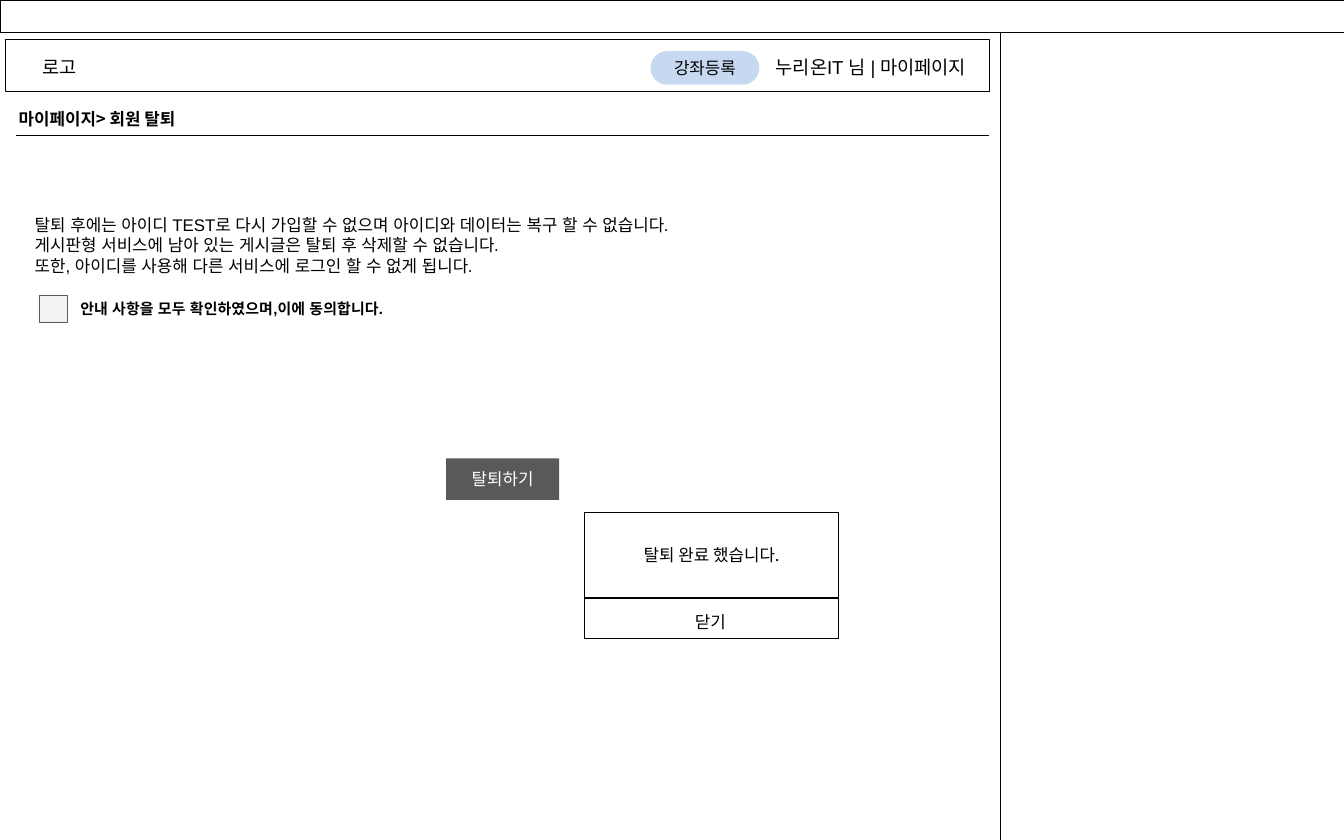
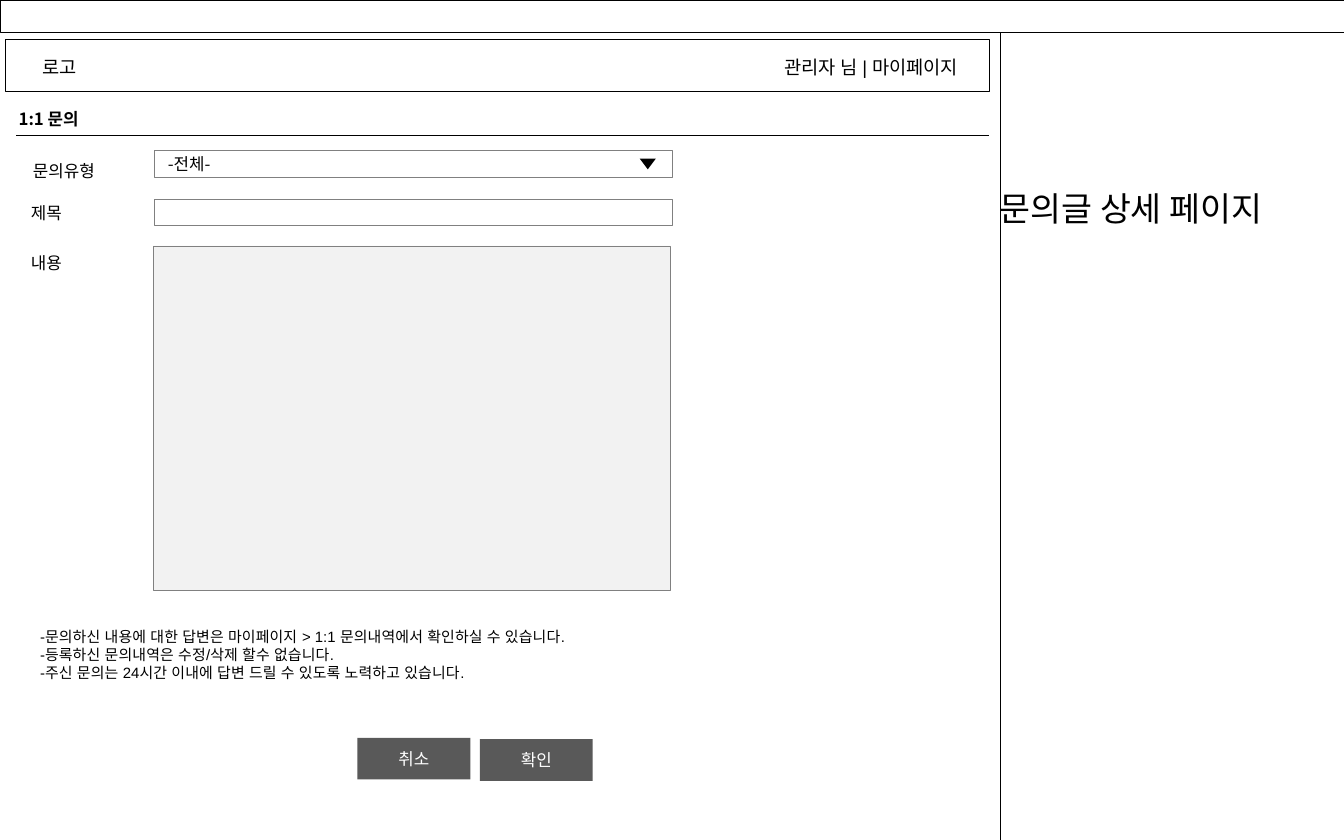
from dataclasses import dataclass

from lxml.etree import SubElement as Sub
from pptx import Presentation
from pptx.dml.color import RGBColor as Rgb
from pptx.enum.shapes import MSO_CONNECTOR as Link, MSO_SHAPE as Form
from pptx.enum.text import MSO_ANCHOR as Anchor, MSO_AUTO_SIZE as Fit, PP_ALIGN as Align
from pptx.oxml.ns import qn
from pptx.util import Inches, Pt


@dataclass(frozen=True)
class Theme:
    ink: str = "000000"
    paper: str = "FFFFFF"
    pale: str = "F2F2F2"
    edge: str = "808080"
    dark: str = "595959"
    sky: str = "C6D9F1"
    sans: str = "Arial"
    hangul: str = "Noto Sans CJK KR"
    small: float = 8
    body: float = 9
    head: float = 10
    big: float = 18
    thin: float = 0.25
    rule: float = 0.75


T = Theme()

# Grid of 100 columns by 62.5 rows of square cells
COLS, ROWS = 100, 62.5
WIDE = Inches(10)
CELL = WIDE / COLS

SPLIT = 74.4      # left edge of the side panel
PAGE = 73.6       # right edge of the page area
BTN = (8.4, 3.1)  # button size


def grid(*cells):
    return [round(n * CELL) for n in cells]


def color(code):
    return Rgb.from_string(code)


# Text
def add_run(para, text, size, face, tint, bold):
    run = para.add_run()
    run.text = text
    font = run.font
    font.size, font.name, font.bold = Pt(size), face, bold
    font.color.rgb = color(tint)
    Sub(run.font._element, qn("a:ea"), typeface=face)


def write(frame, paras, size=T.body, face=T.hangul, tint=T.ink,
          bold=False, align=Align.LEFT):
    """Each paragraph is a string, or a tuple of lines within one paragraph."""
    for i, lines in enumerate(paras):
        para = frame.paragraphs[0] if i == 0 else frame.add_paragraph()
        para.alignment = align
        for j, line in enumerate((lines,) if isinstance(lines, str) else lines):
            if j:
                para.add_line_break()
            add_run(para, line, size, face, tint, bold)


def label(slide, area, *paras, wrap=False, **style):
    frame = slide.shapes.add_textbox(*grid(*area)).text_frame
    frame.word_wrap = wrap
    frame.auto_size = Fit.SHAPE_TO_FIT_TEXT
    write(frame, paras, **style)


# Shapes
def box(slide, area, fill=T.paper, edge=T.ink, form=Form.RECTANGLE):
    shape = slide.shapes.add_shape(form, *grid(*area))
    shape.shadow.inherit = False
    shape.fill.solid()
    shape.fill.fore_color.rgb = color(fill)
    if edge:
        shape.line.color.rgb = color(edge)
        shape.line.width = Pt(T.thin)
    else:
        shape.line.fill.background()
    return shape


def fill_in(shape, text, **style):
    frame = shape.text_frame
    frame.word_wrap = True
    frame.vertical_anchor = Anchor.MIDDLE
    write(frame, [text], **style)


def button(slide, left, top, text):
    fill_in(box(slide, (left, top, *BTN), T.dark, None), text,
            tint=T.paper, align=Align.CENTER)


def rule(slide, left, right, top):
    line = slide.shapes.add_connector(Link.STRAIGHT, *grid(left, top, right, top))
    line.line.color.rgb = color(T.ink)
    line.line.width = Pt(T.rule)
    Sub(line._element.spPr, qn("a:effectLst"))


# Frame shared by both screens
def screen(deck, title, span, user, seat):
    slide = deck.slides.add_slide(deck.slide_layouts[6])
    box(slide, (SPLIT, 0, COLS - SPLIT, ROWS))
    box(slide, (0, 0, COLS, 2.4))
    box(slide, (0.4, 2.9, 73.2, 3.9))
    for text, (left, width) in (("로고", (2, 4.8)), (user, seat)):
        label(slide, (left, 3.7, width, 2.7), text,
              size=T.head, face=T.sans, align=Align.CENTER)
    rule(slide, 1.2, PAGE, 10.1)
    label(slide, (0.4, 7.6, span, 2.5), title, bold=True)
    return slide


# Dialog with a message above a close row
def dialog(slide, area, text, close):
    left, top, width, _ = area
    pane = box(slide, area)
    pane.text_frame.margin_bottom = grid(3.5)[0]
    fill_in(pane, text, align=Align.CENTER)
    rule(slide, left, left + width, top + 6.4)
    label(slide, (left + 7.1, top + 6.9, 4.5, 2.5), close, align=Align.CENTER)


def leave(deck):
    slide = screen(deck, "마이페이지> 회원 탈퇴", 15.2,
                   "누리온IT 님 | 마이페이지", (56, 17.6))
    pill = box(slide, (48.4, 3.8, 8.1, 2.5), T.sky, None, Form.ROUNDED_RECTANGLE)
    pill.adjustments[0] = 0.5
    fill_in(pill, "강좌등록", align=Align.CENTER)

    # Notice and consent
    label(slide, (1.6, 15.5, 53.5, 5.6),
          "탈퇴 후에는 아이디 TEST로 다시 가입할 수 없으며 아이디와 데이터는 복구 할 수 없습니다.",
          "게시판형 서비스에 남아 있는 게시글은 탈퇴 후 삭제할 수 없습니다.",
          "또한, 아이디를 사용해 다른 서비스에 로그인 할 수 없게 됩니다.",
          wrap=True, face=T.sans)
    box(slide, (2.9, 22, 2.1, 2), T.pale, T.dark)
    label(slide, (5, 21.8, 26.6, 2.4),
          "안내 사항을 모두 확인하였으며,이에 동의합니다.",
          size=T.small, face=T.sans, bold=True)

    button(slide, 33.2, 34.1, "탈퇴하기")
    dialog(slide, (43.5, 38.1, 18.9, 9.4), "탈퇴 완료 했습니다.", "닫기")


def inquiry(deck):
    slide = screen(deck, "1:1 문의", 6.8, "관리자 님 | 마이페이지", (56.6, 16.4))
    label(slide, (73.4, 13.5, 24.9, 4), "문의글 상세 페이지", size=T.big)

    # Form rows: name, its top and width, field area, field fill
    form = (
        ("문의유형", 11.5, 7.1, (11.5, 11.2, 38.5, 2), T.paper),
        ("제목", 14.6, 4.5, (11.5, 14.8, 38.5, 2), T.paper),
        ("내용", 18.3, 4.5, (11.4, 18.3, 38.5, 25.6), T.pale),
    )
    fields = []
    for name, top, width, area, fill in form:
        label(slide, (1.2, top, width, 2.5), name, align=Align.CENTER)
        fields.append(box(slide, area, fill, T.edge))
    fill_in(fields[0], "-전체-")
    box(slide, (47.6, 11.8, 1.2, 0.8), T.ink, None, Form.FLOWCHART_MERGE)

    # Guidance
    label(slide, (2, 46.2, 44.9, 5),
          ("-문의하신 내용에 대한 답변은 마이페이지 > 1:1 문의내역에서 확인하실 수 있습니다.",
           "-등록하신 문의내역은 수정/삭제 할수 없습니다."),
          "-주신 문의는 24시간 이내에 답변 드릴 수 있도록 노력하고 있습니다.",
          size=T.small, face=T.sans)

    button(slide, 26.6, 54.9, "취소")
    button(slide, 35.7, 55, "확인")


def main():
    deck = Presentation()
    deck.slide_width, deck.slide_height = grid(COLS, ROWS)
    leave(deck)
    inquiry(deck)
    deck.save("out.pptx")


if __name__ == "__main__":
    main()
